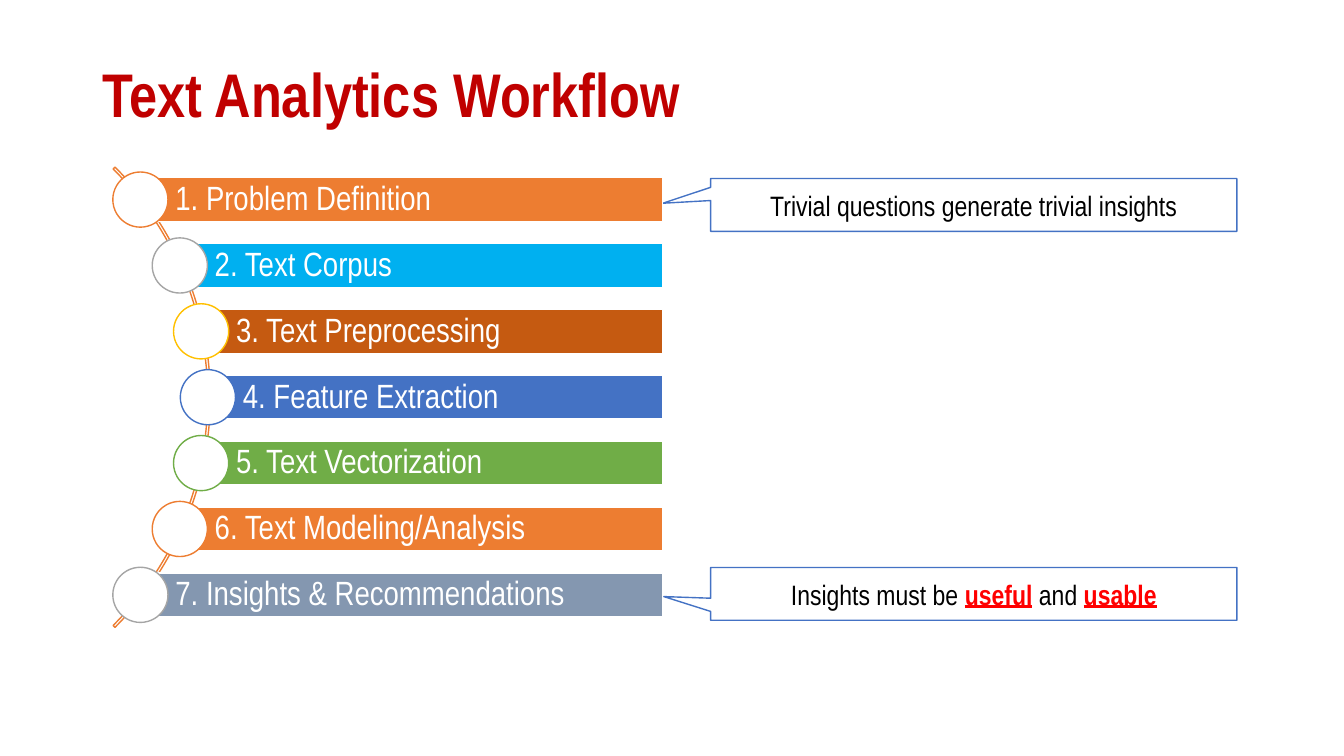
from dataclasses import dataclass
from math import sqrt

from pptx import Presentation
from pptx import util as u
from pptx.dml.color import RGBColor
from pptx.enum import shapes, text


@dataclass(frozen=True)
class Theme:
    font: str = "Arial Narrow"
    title_size: int = 44
    step_size: int = 24
    note_size: int = 20
    title: str = "C00000"
    ink: str = "000000"
    accent: str = "FF0000"
    paper: str = "FFFFFF"
    orange: str = "ED7D31"
    sky: str = "00B0F0"
    rust: str = "C55A11"
    blue: str = "4472C4"
    green: str = "70AD47"
    slate: str = "8497B0"
    grey: str = "A5A5A5"
    gold: str = "FFC000"


class WorkflowPage:
    def __init__(self, deck, theme):
        self.theme = theme
        self.page = deck.slides.add_slide(deck.slide_layouts[5])

    def set_font(self, font, size, color, bold=False):
        font.name = self.theme.font
        font.size = u.Pt(size)
        font.bold = bold
        font.color.rgb = RGBColor.from_string(color)

    def title(self, words, left, top, width, height):
        box = self.page.shapes.title
        box.left, box.top = u.Cm(left), u.Cm(top)
        box.width, box.height = u.Cm(width), u.Cm(height)
        frame = box.text_frame
        frame.text = words
        frame.auto_size = text.MSO_AUTO_SIZE.NONE
        frame.vertical_anchor = text.MSO_ANCHOR.MIDDLE
        para = frame.paragraphs[0]
        para.alignment = text.PP_ALIGN.LEFT
        para.line_spacing = 0.9
        self.set_font(para.font, self.theme.title_size, self.theme.title, bold=True)

    def shape(self, kind, left, top, width, height, fill, line, adjust=()):
        """Add a preset shape; a fill of None leaves it hollow."""
        shape = self.page.shapes.add_shape(
            kind, u.Cm(left), u.Cm(top), u.Cm(width), u.Cm(height))
        shape.shadow.inherit = False
        if fill is None:
            shape.fill.background()
        else:
            shape.fill.solid()
            shape.fill.fore_color.rgb = RGBColor.from_string(fill)
        shape.line.color.rgb = RGBColor.from_string(line)
        shape.line.width = u.Pt(1)
        for index, value in enumerate(adjust):
            shape.adjustments[index] = value
        return shape

    def bar(self, words, left, middle, right, height, fill):
        bar = self.shape(shapes.MSO_SHAPE.RECTANGLE, left, middle - height / 2,
                         right - left, height, fill, self.theme.paper)
        frame = bar.text_frame
        frame.text = words
        frame.word_wrap = True
        frame.vertical_anchor = text.MSO_ANCHOR.MIDDLE
        frame.margin_left = u.Cm(0.88)
        frame.margin_top = frame.margin_right = frame.margin_bottom = u.Cm(0.17)
        para = frame.paragraphs[0]
        para.alignment = text.PP_ALIGN.LEFT
        para.line_spacing = 0.9
        self.set_font(para.font, self.theme.step_size, self.theme.paper)

    def circle(self, center, middle, size, line):
        self.shape(shapes.MSO_SHAPE.OVAL, center - size / 2, middle - size / 2,
                   size, size, self.theme.paper, line)

    def callout(self, spans, top, adjust):
        """Add a note whose spans are (words, stressed) pairs."""
        note = self.shape(shapes.MSO_SHAPE.RECTANGULAR_CALLOUT, 17.91, top, 13.26, 1.33,
                          self.theme.paper, self.theme.blue, adjust)
        frame = note.text_frame
        frame.word_wrap = True
        frame.vertical_anchor = text.MSO_ANCHOR.MIDDLE
        para = frame.paragraphs[0]
        para.alignment = text.PP_ALIGN.CENTER
        self.set_font(para.font, self.theme.note_size, self.theme.ink)
        for words, stressed in spans:
            span = para.add_run()
            span.text = words
            if stressed:
                span.font.bold = span.font.underline = True
                span.font.color.rgb = RGBColor.from_string(self.theme.accent)

    def steps(self, steps):
        """Stack the bars so that their circles follow one arc."""
        arc_x, arc_y, arc_radius = -2.9, 10.01, 8.2
        circle_radius, pitch = 8.14, 1.66
        self.shape(shapes.MSO_SHAPE.BLOCK_ARC, arc_x - arc_radius, arc_y - arc_radius,
                   2 * arc_radius, 2 * arc_radius, None, self.theme.orange,
                   (189, 27, 0.004))
        for index, (words, fill, ring) in enumerate(steps):
            offset = (index - (len(steps) - 1) / 2) * pitch
            center = arc_x + sqrt(circle_radius ** 2 - offset ** 2)
            self.bar(words, center, arc_y + offset, 16.69, 1.11, fill)
            self.circle(center, arc_y + offset, 1.39, ring)


def main():
    deck = Presentation()
    deck.slide_width, deck.slide_height = u.Cm(33.87), u.Cm(19.05)
    theme = Theme()
    workflow = WorkflowPage(deck, theme)
    workflow.title("Text Analytics Workflow", 2.33, 1.01, 29.21, 2.9)
    workflow.callout([("Trivial questions generate trivial insights", False)],
                     4.5, (-0.591, -0.032))
    workflow.callout([("Insights must be ", False), ("useful", True),
                      (" and ", False), ("usable", True)],
                     14.3, (-0.589, 0.052))
    workflow.steps([
        ("1. Problem Definition", theme.orange, theme.orange),
        ("2. Text Corpus", theme.sky, theme.grey),
        ("3. Text Preprocessing", theme.rust, theme.gold),
        ("4. Feature Extraction", theme.blue, theme.blue),
        ("5. Text Vectorization", theme.green, theme.green),
        ("6. Text Modeling/Analysis", theme.orange, theme.orange),
        ("7. Insights & Recommendations", theme.slate, theme.grey),
    ])
    deck.save("out.pptx")


if __name__ == "__main__":
    main()
